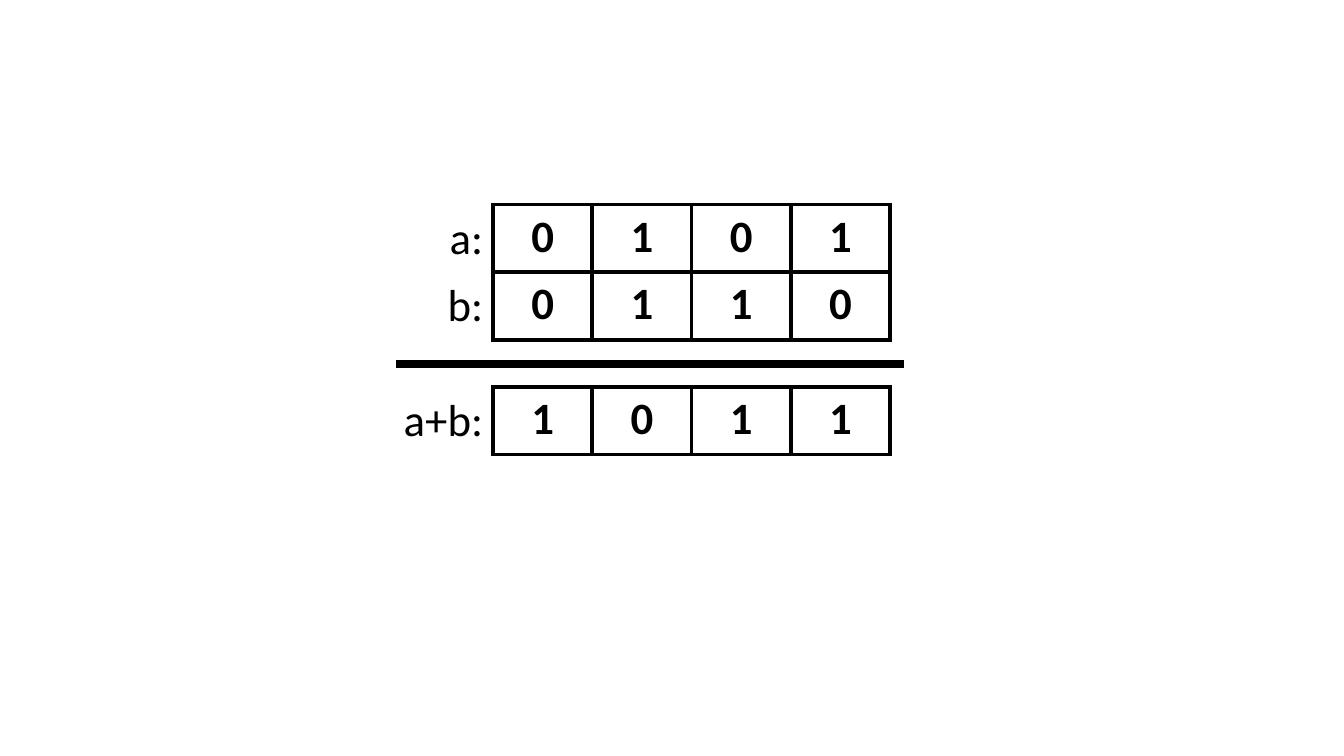
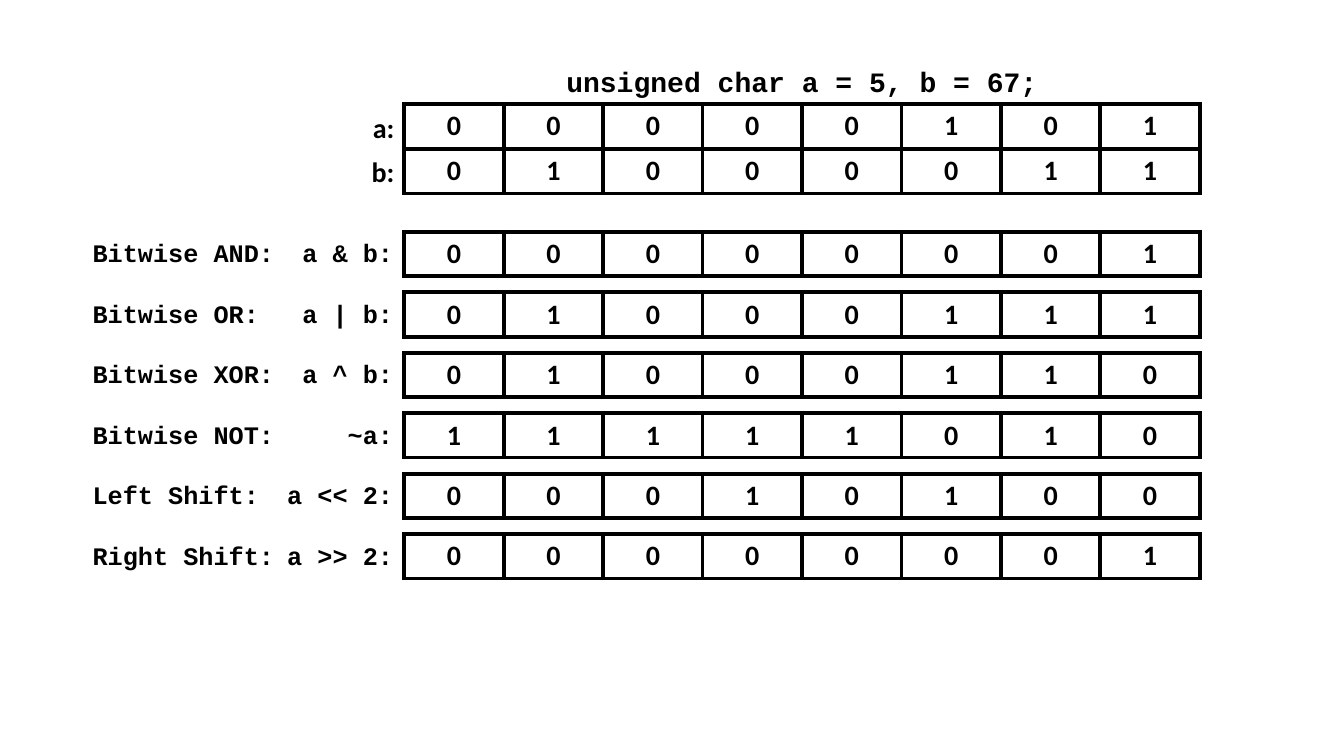
from dataclasses import dataclass

import pptx
import pptx.dml.color
import pptx.enum.shapes
import pptx.enum.text
import pptx.oxml
import pptx.oxml.ns
import pptx.util
from pptx.util import Inches

ALIGN = pptx.enum.text.PP_ALIGN
A_NS = pptx.oxml.ns.nsdecls("a")


@dataclass(frozen=True)
class Theme:
    """Colours, fonts, type sizes and line widths in points."""
    ink: str = "000000"
    paper: str = "FFFFFF"
    body: str = "Calibri"
    code: str = "Courier New"
    large: int = 32
    medium: int = 20
    small: int = 18
    border: int = 3
    rule: int = 6


THEME = Theme()


def rgb(value):
    """Turn a hex string into a colour."""
    return pptx.dml.color.RGBColor.from_string(value)


def style_text(tf, size, font=THEME.body, bold=True, align=ALIGN.CENTER):
    """Format every paragraph and run of a text frame."""
    for p in tf.paragraphs:
        p.alignment = align
        for r in p.runs:
            r.font.size = pptx.util.Pt(size)
            r.font.name = font
            r.font.bold = bold
            r.font.color.rgb = rgb(THEME.ink)


def set_borders(cell):
    """Draw the same solid line on all four sides of a cell."""
    tc_pr = cell._tc.get_or_add_tcPr()
    width = int(pptx.util.Pt(THEME.border))
    for side in ("lnL", "lnR", "lnT", "lnB"):
        tc_pr.append(pptx.oxml.parse_xml(
            f'<a:{side} {A_NS} w="{width}"><a:solidFill>'
            f'<a:srgbClr val="{THEME.ink}"/></a:solidFill></a:{side}>'))


def add_bits(s, value, count, left, top, width, height, size):
    """Show a number as a one-row table of binary digits."""
    digits = format(value, f"0{count}b")
    frame = s.shapes.add_table(1, count, Inches(left), Inches(top),
                               Inches(width), Inches(height))
    table = frame.table
    table.first_row = False
    table.horz_banding = False
    for cell, digit in zip(table.rows[0].cells, digits):
        cell.text_frame.text = digit
        style_text(cell.text_frame, size)
        set_borders(cell)
        cell.fill.solid()
        cell.fill.fore_color.rgb = rgb(THEME.paper)


def add_label(s, text, left, top, width, height, size, **style):
    """Add a wrapped text box and return its text frame."""
    sp = s.shapes.add_textbox(Inches(left), Inches(top), Inches(width), Inches(height))
    tf = sp.text_frame
    tf.word_wrap = True
    tf.auto_size = pptx.enum.text.MSO_AUTO_SIZE.SHAPE_TO_FIT_TEXT
    tf.text = text
    style_text(tf, size, **style)
    return tf


def add_operation(s, name, expression, top):
    """Label a row with an operation at left and its expression at right."""
    tf = add_label(s, f"{name}:\t{expression}:", 0.82, top, 3.19, 0.4, THEME.small,
                   font=THEME.code, align=ALIGN.LEFT)
    tf.paragraphs[0]._p.get_or_add_pPr().append(pptx.oxml.parse_xml(
        f'<a:tabLst {A_NS}><a:tab pos="{int(Inches(2.98))}" algn="r"/></a:tabLst>'))


def add_rule(s, left, right, y):
    """Draw a thick horizontal line."""
    line = s.shapes.add_connector(pptx.enum.shapes.MSO_CONNECTOR.STRAIGHT,
                                  Inches(left), Inches(y), Inches(right), Inches(y))
    line.line.color.rgb = rgb(THEME.ink)
    line.line.width = pptx.util.Pt(THEME.rule)
    line._element.spPr.append(pptx.oxml.parse_xml(f"<a:effectLst {A_NS}/>"))


def set_title(s, text, left, top, width, height):
    """Place and format the title placeholder."""
    sp = s.shapes.title
    sp.left, sp.top = Inches(left), Inches(top)
    sp.width, sp.height = Inches(width), Inches(height)
    tf = sp.text_frame
    tf.text = text
    tf.word_wrap = True
    tf.auto_size = pptx.enum.text.MSO_AUTO_SIZE.SHAPE_TO_FIT_TEXT
    tf.vertical_anchor = pptx.enum.text.MSO_ANCHOR.TOP
    style_text(tf, THEME.medium, font=THEME.code)


def build_addition(prs):
    """Show the binary addition of two four-bit numbers."""
    s = prs.slides.add_slide(prs.slide_layouts[6])
    a, b = 5, 6
    edge = 4.89
    rows = [("a:", a, 2.03, 0.76), ("b:", b, 2.7, 0.76), ("a+b:", a + b, 3.84, 1.15)]
    for text, value, top, label_width in rows:
        add_bits(s, value, 4, edge, top, 3.94, 0.67, THEME.large)
        add_label(s, text, edge - label_width, top, label_width, 0.64, THEME.large,
                  bold=False, align=ALIGN.RIGHT)
    add_rule(s, 3.93, 8.97, 3.61)


def build_bitwise(prs):
    """Show the bitwise operators applied to two bytes."""
    s = prs.slides.add_slide(prs.slide_layouts[5])
    a, b = 5, 67
    edge, width, row = 4.01, 7.89, 0.44
    set_title(s, f"unsigned char a = {a}, b = {b};", edge, 0.59, width, 0.44)

    for text, value, top, height in [("a:", a, 1.03, 0.46), ("b:", b, 1.48, row)]:
        add_bits(s, value, 8, edge, top, width, height, THEME.medium)
        add_label(s, text, edge - 0.76, top + height - row, 0.76, row, THEME.medium,
                  align=ALIGN.RIGHT)

    operations = [
        ("Bitwise AND", "a & b", a & b),
        ("Bitwise OR", "a | b", a | b),
        ("Bitwise XOR", "a ^ b", a ^ b),
        ("Bitwise NOT", "~a", ~a & 0xFF),
        ("Left Shift", "a << 2", a << 2),
        ("Right Shift", "a >> 2", a >> 2),
    ]
    for i, (name, expression, value) in enumerate(operations):
        top = 2.3 + 0.6 * i
        add_bits(s, value, 8, edge, top, width, row, THEME.medium)
        add_operation(s, name, expression, top + 0.01)


def main():
    """Build and save the presentation."""
    prs = pptx.Presentation()
    prs.slide_width, prs.slide_height = Inches(13.33), Inches(7.5)
    build_addition(prs)
    build_bitwise(prs)
    prs.save("out.pptx")


main()
